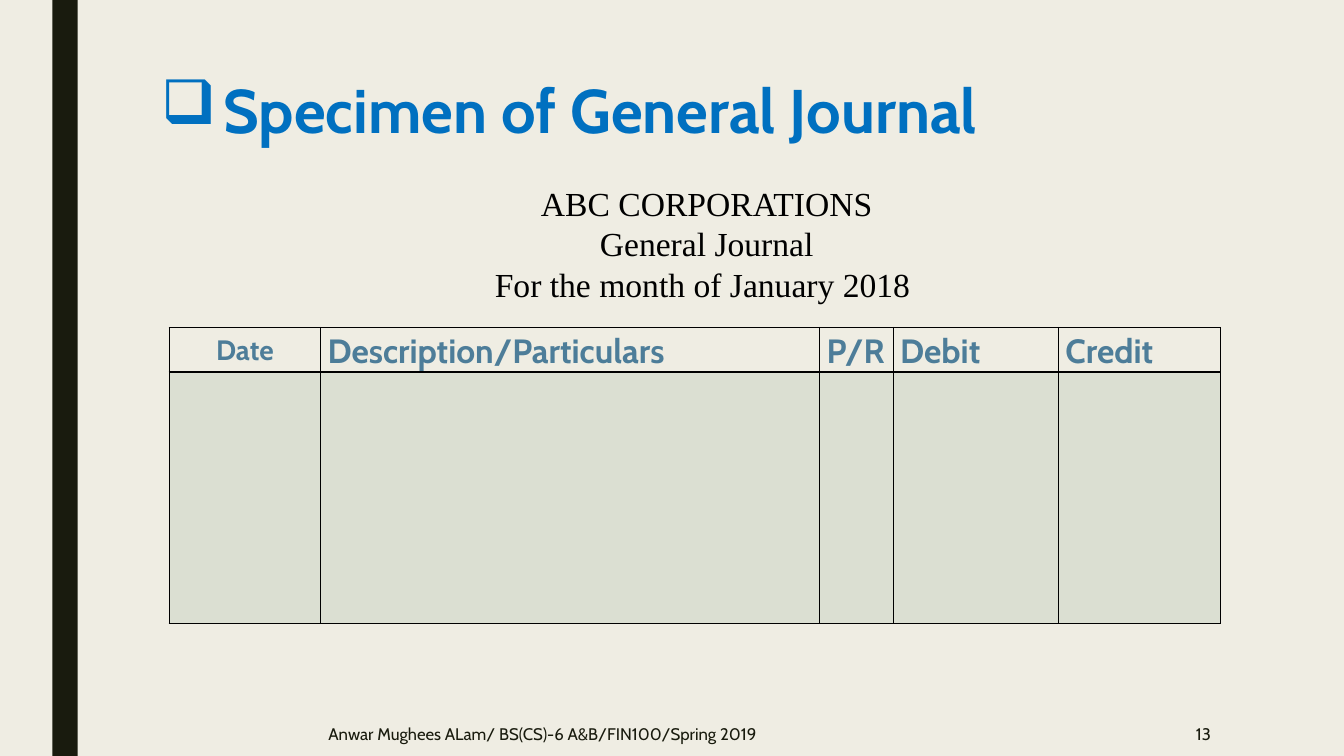
from lxml.etree import SubElement
from pptx import Presentation
from pptx.dml.color import RGBColor as RGB
from pptx.enum.shapes import MSO_SHAPE as SHAPE
from pptx.enum.text import MSO_ANCHOR as ANCHOR, MSO_AUTO_SIZE as AUTO, PP_ALIGN as ALIGN
from pptx.oxml.ns import qn
from pptx.util import Inches, Pt

COLORS = {"paper": "EFEDE3", "ink": "191B0E", "title": "0070C0", "header": "4D7D99",
          "body": "8DAB8E", "black": "000000"}

deck = Presentation()
deck.slide_width, deck.slide_height = Inches(13.33), Inches(7.5)
slide = deck.slides.add_slide(deck.slide_layouts[6])
slide.background.fill.solid()
slide.background.fill.fore_color.rgb = RGB.from_string(COLORS["paper"])


def area(left, top, width, height):
    """Turn percentages of the slide's width and height into lengths."""
    across, down = deck.slide_width / 100, deck.slide_height / 100
    return int(left * across), int(top * down), int(width * across), int(height * down)


def write(paragraph, text, size, color, font="Cabin", bold=False, align=ALIGN.LEFT):
    paragraph.alignment = align
    run = paragraph.add_run()
    run.text = text
    run.font.name, run.font.size, run.font.bold = font, Pt(size), bold
    run.font.color.rgb = RGB.from_string(COLORS[color])


side_bar = slide.shapes.add_shape(SHAPE.RECTANGLE, *area(3.9, 0, 1.88, 100))
side_bar.shadow.inherit = False
side_bar.fill.solid()
side_bar.fill.fore_color.rgb = RGB.from_string(COLORS["ink"])
side_bar.line.fill.background()

# Title with a box bullet
title = slide.shapes.add_textbox(*area(11.25, 10, 78.77, 21.6)).text_frame
title.word_wrap = True
heading = title.paragraphs[0]
heading.line_spacing = 0.89
bullet_props = heading._p.get_or_add_pPr()
bullet_props.set("marL", str(Inches(0.62)))
bullet_props.set("indent", str(-Inches(0.62)))
SubElement(bullet_props, qn("a:buChar"), char="❑")
write(heading, "Specimen of General Journal", 44, "title", bold=True)

# Footer and slide number
for left, width, text, align in [
    (23.7, 51.54, "Anwar Mughees ALam/ BS(CS)-6 A&B/FIN100/Spring 2019", ALIGN.LEFT),
    (77.72, 13.13, "13", ALIGN.RIGHT),
]:
    footer = slide.shapes.add_textbox(*area(left, 94.13, width, 5.87)).text_frame
    footer.word_wrap = True
    footer.vertical_anchor = ANCHOR.MIDDLE
    write(footer.paragraphs[0], text, 12, "ink", align=align)

# Journal table: one header row over one open row
columns = [("Date", 11.25), ("Description/Particulars", 37.13), ("P/R", 5.48),
           ("Debit", 12.3), ("Credit", 12.08)]
row_shares = [5.87, 33.33]
table_width = sum(share for _, share in columns)
journal = slide.shapes.add_table(
    2, len(columns), *area(12.6, 43.33, table_width, sum(row_shares))).table
journal.first_row = journal.horz_banding = False
for row, share in zip(journal.rows, row_shares):
    row.height = area(0, 0, 0, share)[3]

for index, (label, share) in enumerate(columns):
    journal.columns[index].width = area(0, 0, share, 0)[2]
    header, body = journal.cell(0, index), journal.cell(1, index)
    for cell in (header, body):
        for side in ("a:lnL", "a:lnR", "a:lnT", "a:lnB"):
            border = SubElement(cell._tc.get_or_add_tcPr(), qn(side), w=str(Pt(1)))
            ink = SubElement(border, qn("a:solidFill"))
            SubElement(ink, qn("a:srgbClr"), val=COLORS["black"])

    header.fill.background()
    header.vertical_anchor = ANCHOR.MIDDLE
    header.margin_left = header.margin_right = Inches(0.07)
    header.margin_top = header.margin_bottom = 0
    caption = header.text_frame.paragraphs[0]
    caption.line_spacing = 1.07
    is_date = label == "Date"
    write(caption, label, 20 if is_date else 24, "header", bold=True,
          align=ALIGN.CENTER if is_date else ALIGN.LEFT)

    body.fill.solid()
    body.fill.fore_color.rgb = RGB.from_string(COLORS["body"])
    tint = body._tc.tcPr.find(qn("a:solidFill")).find(qn("a:srgbClr"))
    SubElement(tint, qn("a:alpha"), val="20000")

# Statement heading above the table
statement = slide.shapes.add_textbox(*area(35.93, 23.47, 33.31, 17.47)).text_frame
statement.word_wrap = False
statement.auto_size = AUTO.SHAPE_TO_FIT_TEXT
statement.vertical_anchor = ANCHOR.MIDDLE
for index, text in enumerate(
        ["ABC CORPORATIONS", "General Journal", "For the month of January 2018 "]):
    line = statement.add_paragraph() if index else statement.paragraphs[0]
    write(line, text, 24, "black", font="Times New Roman", align=ALIGN.CENTER)

deck.save("out.pptx")
